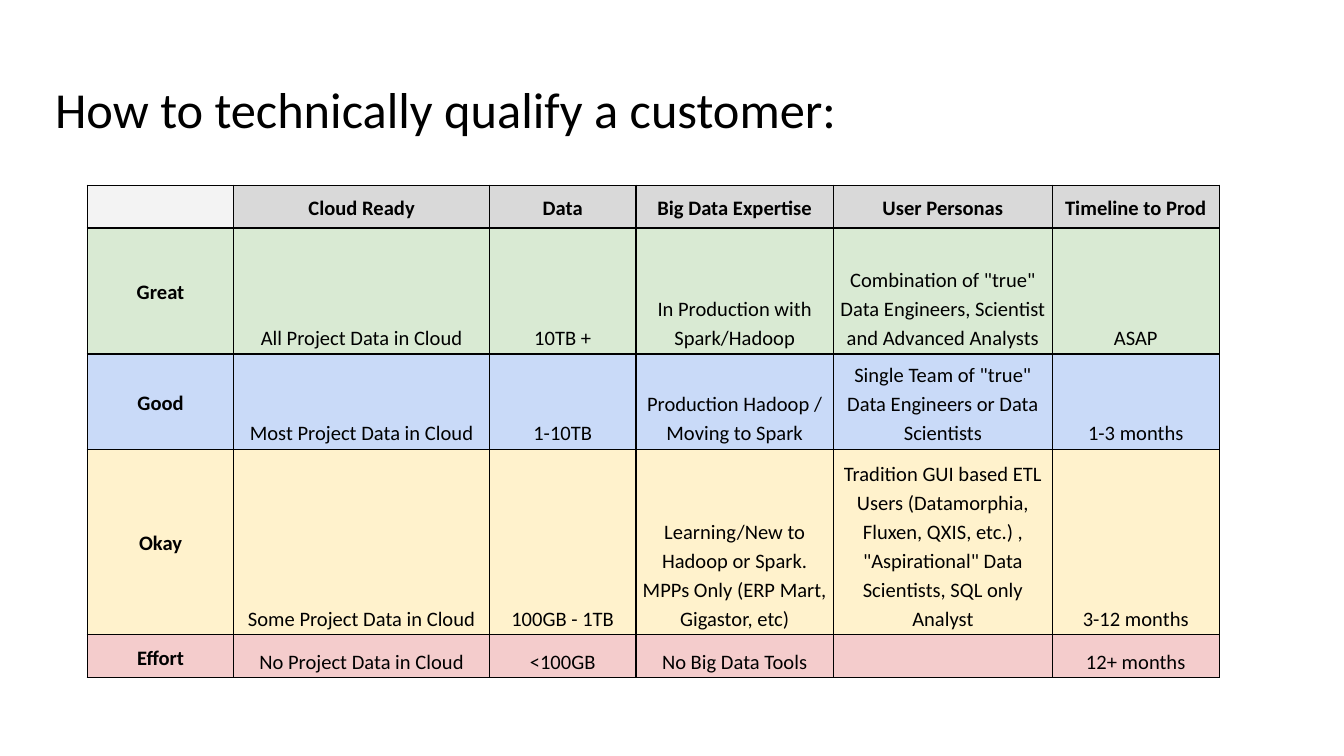
from dataclasses import dataclass

from lxml import etree
from pptx import Presentation
from pptx import util as u
from pptx.dml.color import RGBColor
from pptx.enum import text
from pptx.oxml.ns import qn


@dataclass(frozen=True)
class Theme:
    font: str = "Calibri"
    ink: str = "000000"
    corner: str = "F3F3F3"
    header: str = "D9D9D9"
    great: str = "D9EAD3"
    good: str = "C9DAF8"
    okay: str = "FFF2CC"
    effort: str = "F4CCCC"
    title_size: float = 27
    cell_size: float = 11
    border: float = 0.75


THEME = Theme()

CRITERIA = ["", "Cloud Ready", "Data", "Big Data Expertise", "User Personas", "Timeline to Prod"]
RATINGS = [
    ["Great", "All Project Data in Cloud", "10TB +", "In Production with Spark/Hadoop",
     'Combination of "true" Data Engineers, Scientist and Advanced Analysts', "ASAP"],
    ["Good", "Most Project Data in Cloud", "1-10TB", "Production Hadoop / Moving to Spark",
     'Single Team of "true" Data Engineers or Data Scientists', "1-3 months"],
    ["Okay", "Some Project Data in Cloud", "100GB - 1TB",
     "Learning/New to Hadoop or Spark. MPPs Only (ERP Mart, Gigastor, etc)",
     'Tradition GUI based ETL Users (Datamorphia, Fluxen, QXIS, etc.) , '
     '"Aspirational" Data Scientists, SQL only Analyst', "3-12 months"],
    ["Effort", "No Project Data in Cloud", "<100GB", "No Big Data Tools", "", "12+ months"],
]
ROW_FILLS = [THEME.header, THEME.great, THEME.good, THEME.okay, THEME.effort]
COLUMN_WIDTHS = [2.77, 4.83, 2.77, 3.73, 4.14, 3.15]
ROW_HEIGHTS = [0.81, 2.38, 1.8, 3.51, 0.81]


def apply(target, formats):
    for name, value in formats.items():
        setattr(target, name, value)


class SlideBuilder:
    def __init__(self, slide, theme):
        self.slide = slide
        self.theme = theme

    def style_font(self, font, size, bold=False):
        apply(font, {"name": self.theme.font, "size": u.Pt(size), "bold": bold})
        font.color.rgb = RGBColor.from_string(self.theme.ink)

    def title(self, wording, left, top, width, height):
        heading = self.slide.shapes.title
        apply(heading, {"left": u.Cm(left), "top": u.Cm(top),
                        "width": u.Cm(width), "height": u.Cm(height)})
        frame = heading.text_frame
        frame.text = wording
        sides = ("left", "right", "top", "bottom")
        apply(frame, {f"margin_{side}": u.Cm(0.18) for side in sides})
        apply(frame, {"vertical_anchor": text.MSO_ANCHOR.MIDDLE,
                      "auto_size": text.MSO_AUTO_SIZE.NONE})
        line = frame.paragraphs[0]
        line.alignment = text.PP_ALIGN.LEFT
        self.style_font(line.runs[0].font, self.theme.title_size)

    def table(self, rows, fills, left, top, widths, heights):
        """Draw a table whose first row and first column are bold headings."""
        grid = self.slide.shapes.add_table(
            len(rows), len(widths), u.Cm(left), u.Cm(top),
            u.Cm(sum(widths)), u.Cm(sum(heights))).table
        apply(grid, {"first_row": False, "horz_banding": False})
        for column, width in zip(grid.columns, widths):
            column.width = u.Cm(width)
        for row, height in zip(grid.rows, heights):
            row.height = u.Cm(height)
        for r, (wordings, fill) in enumerate(zip(rows, fills)):
            for c, wording in enumerate(wordings):
                is_corner = r == 0 and c == 0
                self.cell(grid.cell(r, c), wording,
                          self.theme.corner if is_corner else fill, r == 0 or c == 0)

    def cell(self, cell, wording, fill, heading):
        anchor = text.MSO_ANCHOR.MIDDLE if heading else text.MSO_ANCHOR.BOTTOM
        apply(cell, {"vertical_anchor": anchor,
                     "margin_left": u.Cm(0.07), "margin_right": u.Cm(0.07),
                     "margin_top": u.Cm(0.05), "margin_bottom": u.Cm(0.05)})
        self.cell_borders(cell)
        cell.fill.solid()
        cell.fill.fore_color.rgb = RGBColor.from_string(fill)
        line = cell.text_frame.paragraphs[0]
        apply(line, {"alignment": text.PP_ALIGN.CENTER, "line_spacing": 1.15})
        if wording:
            run = line.add_run()
            run.text = wording
            self.style_font(run.font, self.theme.cell_size, heading)
        else:
            # An empty cell would otherwise take the default 18 pt and stretch its row.
            etree.SubElement(line._p, qn("a:endParaRPr"), sz=str(self.theme.cell_size * 100))

    def cell_borders(self, cell):
        properties = cell._tc.get_or_add_tcPr()
        for edge in ("a:lnL", "a:lnR", "a:lnT", "a:lnB"):
            border = etree.SubElement(properties, qn(edge), w=str(u.Pt(self.theme.border)))
            paint = etree.SubElement(border, qn("a:solidFill"))
            etree.SubElement(paint, qn("a:srgbClr"), val=self.theme.ink)


def main():
    deck = Presentation()
    apply(deck, {"slide_width": u.Cm(25.4), "slide_height": u.Cm(14.29)})
    builder = SlideBuilder(deck.slides.add_slide(deck.slide_layouts[5]), THEME)
    builder.title("How to technically qualify a customer:", 0.86, 1.24, 23.67, 1.6)
    builder.table([CRITERIA, *RATINGS], ROW_FILLS, 1.65, 3.5, COLUMN_WIDTHS, ROW_HEIGHTS)
    deck.save("out.pptx")


if __name__ == "__main__":
    main()
